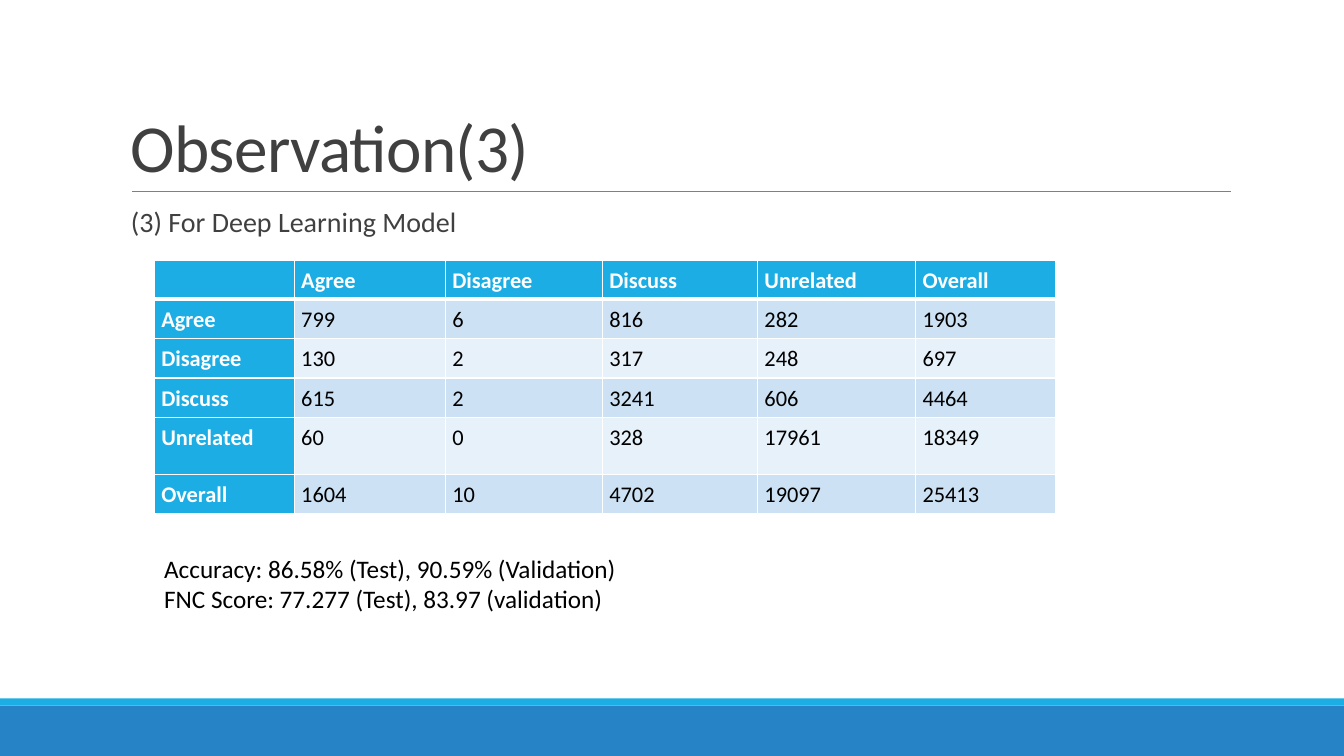
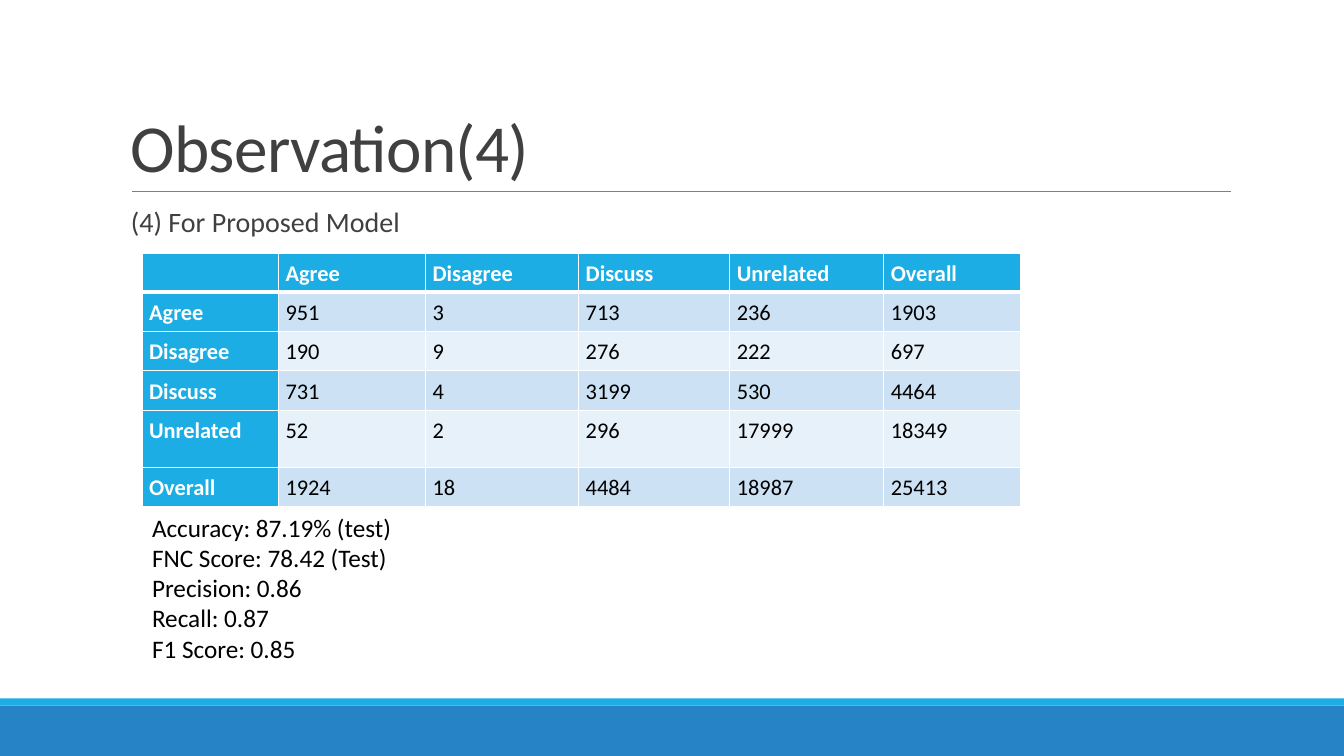
import pptx
import pptx.dml.color
import pptx.enum.shapes
import pptx.enum.text
import pptx.oxml.ns
import pptx.util
from lxml import etree

Inches, Pt = pptx.util.Inches, pptx.util.Pt
RGBColor = pptx.dml.color.RGBColor
qn = pptx.oxml.ns.qn
MSO_ANCHOR = pptx.enum.text.MSO_ANCHOR

FONT = "Calibri"
BLUE = RGBColor(0x26, 0x83, 0xC6)
CYAN = RGBColor(0x1C, 0xAD, 0xE4)
BAND_DARK = RGBColor(0xCC, 0xE2, 0xF4)
BAND_LIGHT = RGBColor(0xE7, 0xF1, 0xF9)
GREY = RGBColor(0x80, 0x80, 0x80)
DARK = RGBColor(0x40, 0x40, 0x40)
BLACK = RGBColor(0, 0, 0)
WHITE = RGBColor(0xFF, 0xFF, 0xFF)

SLIDE_W, SLIDE_H = 13.33, 7.5
FOOTER_BOX = (0, 6.93, SLIDE_W, 0.57)
TITLE_BOX = (1.2, 0.31, 11, 1.59)
SUBTITLE_BOX = (1.2, 2.02, 11, 4.4)

LABELS = ["Agree", "Disagree", "Discuss", "Unrelated"]
COL_SHARES = [1.39, 1.5, 1.56, 1.54, 1.57, 1.39]
ROW_HEIGHTS = [0.39, 0.39, 0.39, 0.39, 0.57, 0.39]

RESULTS = [
    dict(
        title="Observation(3)",
        subtitle="(3) For Deep Learning Model",
        counts=[
            [799, 6, 816, 282],
            [130, 2, 317, 248],
            [615, 2, 3241, 606],
            [60, 0, 328, 17961],
        ],
        table_at=(1.53, 2.58, 8.94),
        scores=[
            "Accuracy: 86.58% (Test), 90.59% (Validation)",
            "FNC Score: 77.277 (Test), 83.97 (validation)",
        ],
        scores_box=(1.53, 5.44, 6.87, 0.7),
    ),
    dict(
        title="Observation(4)",
        subtitle="(4) For Proposed Model",
        counts=[
            [951, 3, 713, 236],
            [190, 9, 276, 222],
            [731, 4, 3199, 530],
            [52, 2, 296, 17999],
        ],
        table_at=(1.41, 2.51, 8.71),
        scores=[
            "Accuracy: 87.19% (test)",
            "FNC Score: 78.42 (Test)",
            "Precision: 0.86",
            "Recall: 0.87",
            "F1 Score: 0.85",
        ],
        scores_box=(1.41, 5.03, 5.93, 1.6),
    ),
]


def add_run(p, text, size, color, bold=False):
    r = p.add_run()
    r.text = text
    r.font.name = FONT
    r.font.size = Pt(size)
    r.font.bold = bold
    r.font.color.rgb = color
    return r


def add_text(s, box, lines, size, color, anchor=MSO_ANCHOR.TOP, spacing=None):
    """Add a wrapped text box with one paragraph per line."""
    tf = s.shapes.add_textbox(*map(Inches, box)).text_frame
    tf.word_wrap = True
    tf.vertical_anchor = anchor
    for i, line in enumerate(lines):
        p = tf.paragraphs[0] if i == 0 else tf.add_paragraph()
        p.line_spacing = spacing
        add_run(p, line, size, color)
    return tf


def add_band(s, box, color):
    sp = s.shapes.add_shape(pptx.enum.shapes.MSO_SHAPE.RECTANGLE, *map(Inches, box))
    sp.shadow.inherit = False
    sp.fill.solid()
    sp.fill.fore_color.rgb = color
    sp.line.fill.background()


def add_footer(s, box):
    x, y, w, h = box
    stripe = 0.07
    add_band(s, (x, y + stripe, w, h - stripe), BLUE)
    add_band(s, (x, y, w, stripe), CYAN)


def add_title(s, box, title):
    """Add the title and the rule along the foot of its box."""
    x, y, w, h = box
    foot = Inches(y + h)
    rule = s.shapes.add_connector(
        pptx.enum.shapes.MSO_CONNECTOR.STRAIGHT,
        Inches(x + 0.11), foot, Inches(x + w + 0.01), foot)
    rule.line.color.rgb = GREY
    rule.line.width = Pt(0.5)
    etree.SubElement(rule._element.spPr, qn("a:effectLst"))
    tf = add_text(s, box, [title], 48, DARK, MSO_ANCHOR.BOTTOM, 0.85)
    tf.paragraphs[0].runs[0].font._element.set("spc", "-50")


def set_borders(cell, **widths):
    """Draw white cell borders; widths in points, keyed L, R, T, B."""
    tcPr = cell._tc.get_or_add_tcPr()
    for i, side in enumerate("LRTB"):
        ln = etree.Element(qn(f"a:ln{side}"), w=str(Pt(widths.get(side, 0.96))))
        fill = etree.SubElement(ln, qn("a:solidFill"))
        etree.SubElement(fill, qn("a:srgbClr"), val=str(WHITE))
        tcPr.insert(i, ln)


def with_totals(counts):
    """Label the confusion matrix and add its row and column sums."""
    body = counts + [[sum(col) for col in zip(*counts)]]
    names = LABELS + ["Overall"]
    return [[""] + names] + [
        [name, *row, sum(row)] for name, row in zip(names, body)]


def fill_cell(cell, value, row, col):
    is_label = row == 0 or col == 0
    cell.fill.solid()
    cell.fill.fore_color.rgb = (
        CYAN if is_label else BAND_DARK if row % 2 else BAND_LIGHT)
    cell.margin_left = cell.margin_right = Inches(0.07)
    cell.margin_top = cell.margin_bottom = Inches(0.05)
    p = cell.text_frame.paragraphs[0]
    p.line_spacing = 1.07
    if value == "":
        p._p.get_or_add_endParaRPr().set("sz", "1600")
    else:
        add_run(p, str(value), 16, WHITE if is_label else BLACK, is_label)
    set_borders(cell, **({"B": 3} if row == 0 else {"T": 3} if row == 1 else {}))


def add_confusion_table(s, at, counts):
    x, y, w = at
    rows = with_totals(counts)
    frame = s.shapes.add_table(
        len(rows), len(COL_SHARES),
        Inches(x), Inches(y), Inches(w), Inches(sum(ROW_HEIGHTS)))
    table = frame.table
    table.first_row = table.horz_banding = False
    for column, share in zip(table.columns, COL_SHARES):
        column.width = Inches(w * share / sum(COL_SHARES))
    for i, (row, height) in enumerate(zip(rows, ROW_HEIGHTS)):
        table.rows[i].height = Inches(height)
        for j, value in enumerate(row):
            fill_cell(table.cell(i, j), value, i, j)


def add_result_slide(prs, title, subtitle, counts, table_at, scores, scores_box):
    s = prs.slides.add_slide(prs.slide_layouts[6])
    add_footer(s, FOOTER_BOX)
    add_title(s, TITLE_BOX, title)
    add_text(s, SUBTITLE_BOX, [subtitle], 20, DARK, spacing=0.9)
    add_confusion_table(s, table_at, counts)
    add_text(s, scores_box, scores, 18, BLACK)


def main():
    prs = pptx.Presentation()
    prs.slide_width, prs.slide_height = Inches(SLIDE_W), Inches(SLIDE_H)
    for result in RESULTS:
        add_result_slide(prs, **result)
    prs.save("out.pptx")


if __name__ == "__main__":
    main()
